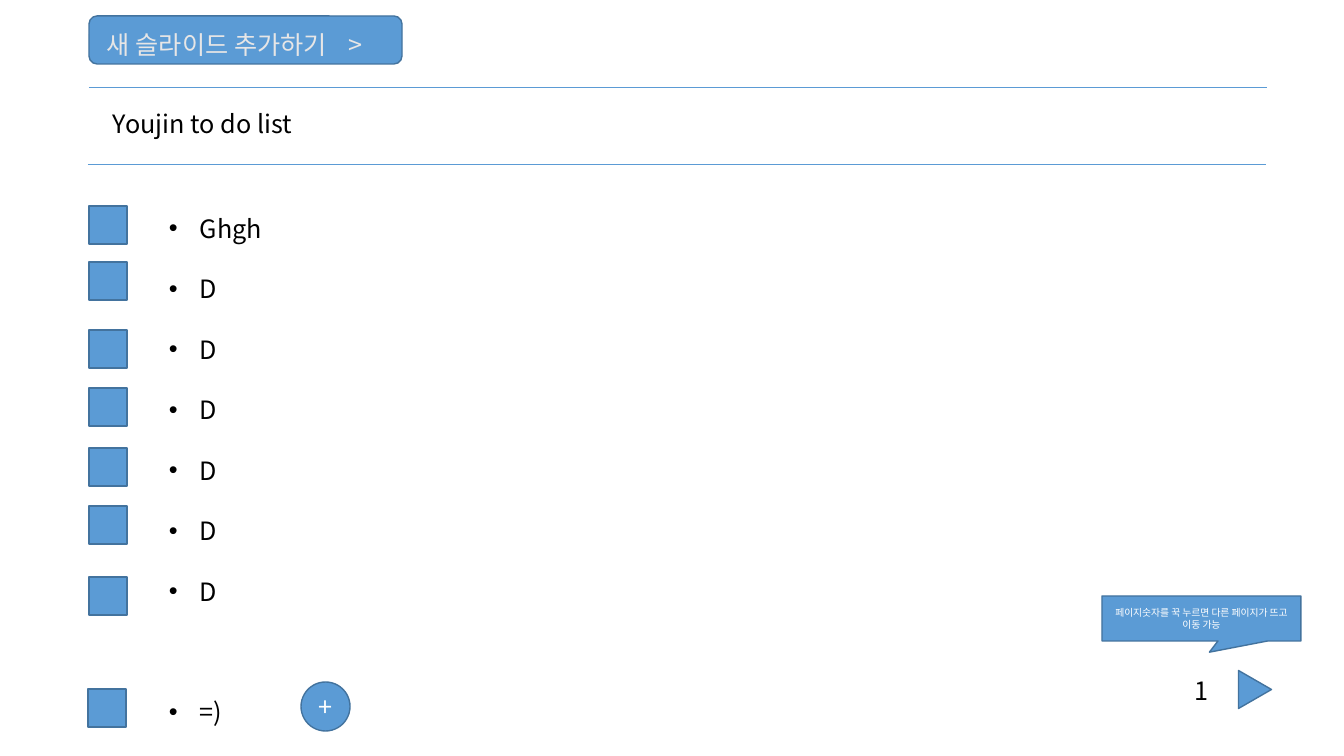
"""Build a to-do list slide with checkboxes, an add button and page navigation."""
import pptx
import pptx.dml.color
import pptx.enum.shapes
import pptx.enum.text
import pptx.oxml
import pptx.util
from lxml import etree

SHAPES = pptx.enum.shapes.MSO_SHAPE
ALIGN = pptx.enum.text.PP_ALIGN
ANCHOR = pptx.enum.text.MSO_ANCHOR
PX = 914400 / 100.8
COLOURS = {"accent": "5B9BD5", "edge": "43739E", "ink": "000000",
           "light": "FFFFFF", "pale": "E7E6E6"}
FONT = "Noto Sans CJK KR"
LEADING = 1.2


def px(length):
    return pptx.util.Emu(round(length * PX))


def colour(name):
    return pptx.dml.color.RGBColor.from_string(COLOURS[name])


def apply(target, values):
    for name, value in values.items():
        setattr(target, name, value)


class TodoSlide:
    def __init__(self, deck):
        self.slide = deck.slides.add_slide(deck.slide_layouts[6])
        self.shapes = self.slide.shapes

    def fill_frame(self, frame, lines, size=18, ink="ink", **layout):
        apply(frame, {"word_wrap": True, "vertical_anchor": ANCHOR.TOP})
        for index, line in enumerate(lines):
            paragraph = frame.paragraphs[0] if index == 0 else frame.add_paragraph()
            apply(paragraph, {"line_spacing": pptx.util.Pt(size * LEADING), **layout})
            run = paragraph.add_run()
            run.text = line
            apply(run.font, {"size": pptx.util.Pt(size), "name": FONT})
            run.font.color.rgb = colour(ink)
            east_asian = etree.SubElement(run.font._element, pptx.oxml.ns.qn("a:ea"))
            east_asian.set("typeface", FONT)
        return frame.paragraphs

    def text(self, box, lines, ink="ink", **layout):
        frame = self.shapes.add_textbox(*map(px, box)).text_frame
        frame.margin_top = px(7)
        return self.fill_frame(frame, lines, ink=ink, **layout)

    def shape(self, kind, box, label=None, size=18, rotation=0, adjust=()):
        shape = self.shapes.add_shape(kind, *map(px, box))
        shape.shadow.inherit = False
        shape.rotation = rotation
        shape.fill.solid()
        shape.fill.fore_color.rgb = colour("accent")
        shape.line.color.rgb = colour("edge")
        shape.line.width = pptx.util.Pt(1)
        for index, value in enumerate(adjust):
            shape.adjustments[index] = value
        if label:
            self.fill_frame(shape.text_frame, [label], size, "light", alignment=ALIGN.CENTER)
            shape.text_frame.vertical_anchor = ANCHOR.MIDDLE

    def rule(self, left, right, y):
        rule = self.shapes.add_connector(
            pptx.enum.shapes.MSO_CONNECTOR.STRAIGHT, px(left), px(y), px(right), px(y))
        rule.line.color.rgb = colour("accent")
        rule.line.width = pptx.util.Pt(0.5)
        etree.SubElement(rule._element.spPr, pptx.oxml.ns.qn("a:effectLst"))

    def bullets(self, box, items):
        gap = pptx.util.Pt(18 * LEADING)
        paragraphs = self.text(box, items, space_after=gap)
        paragraphs[-1].space_before = 2 * gap
        for paragraph in paragraphs:
            properties = paragraph._p.get_or_add_pPr()
            properties.set("marL", str(px(31)))
            properties.set("indent", str(-px(31)))
            font = etree.SubElement(properties, pptx.oxml.ns.qn("a:buFont"))
            font.set("typeface", "Arial")
            mark = etree.SubElement(properties, pptx.oxml.ns.qn("a:buChar"))
            mark.set("char", "•")

    def tabbed(self, box, line, ink, stop):
        properties = self.text(box, [line], ink)[0]._p.get_or_add_pPr()
        stops = etree.SubElement(properties, pptx.oxml.ns.qn("a:tabLst"))
        tab = etree.SubElement(stops, pptx.oxml.ns.qn("a:tab"))
        tab.set("pos", str(px(stop)))
        tab.set("algn", "l")


def main():
    deck = pptx.Presentation()
    apply(deck, {"slide_width": px(1344), "slide_height": px(756)})
    todo = TodoSlide(deck)

    todo.text((103, 101, 203, 40), ["Youjin to do list"])
    todo.rule(88, 1266, 164)
    todo.bullets((159, 206, 115, 559), ["Ghgh"] + ["D"] * 6 + ["=)"])
    todo.rule(89, 1267, 87)

    todo.shape(SHAPES.ISOSCELES_TRIANGLE, (1236, 673, 38, 33), rotation=90)
    todo.shape(SHAPES.OVAL, (301, 682, 49, 49), "+")
    for top in (206, 262, 330, 388, 448, 506, 577):
        todo.shape(SHAPES.RECTANGLE, (89, top, 38, 38))
    todo.shape(SHAPES.RECTANGLE, (88, 689, 38, 38))

    todo.text((1185, 668, 139, 40), ["1"])
    todo.shape(SHAPES.ROUNDED_RECTANGLE, (89, 16, 313, 48))
    todo.tabbed((97, 22, 498, 40), "새 슬라이드 추가하기\t>", "pale", 242)
    todo.shape(SHAPES.RECTANGULAR_CALLOUT, (1102, 596, 199, 45),
               "페이지숫자를 꾹 누르면 다른 페이지가 뜨고 이동 가능", 7, adjust=(0.04, 0.75))
    deck.save("out.pptx")


if __name__ == "__main__":
    main()
